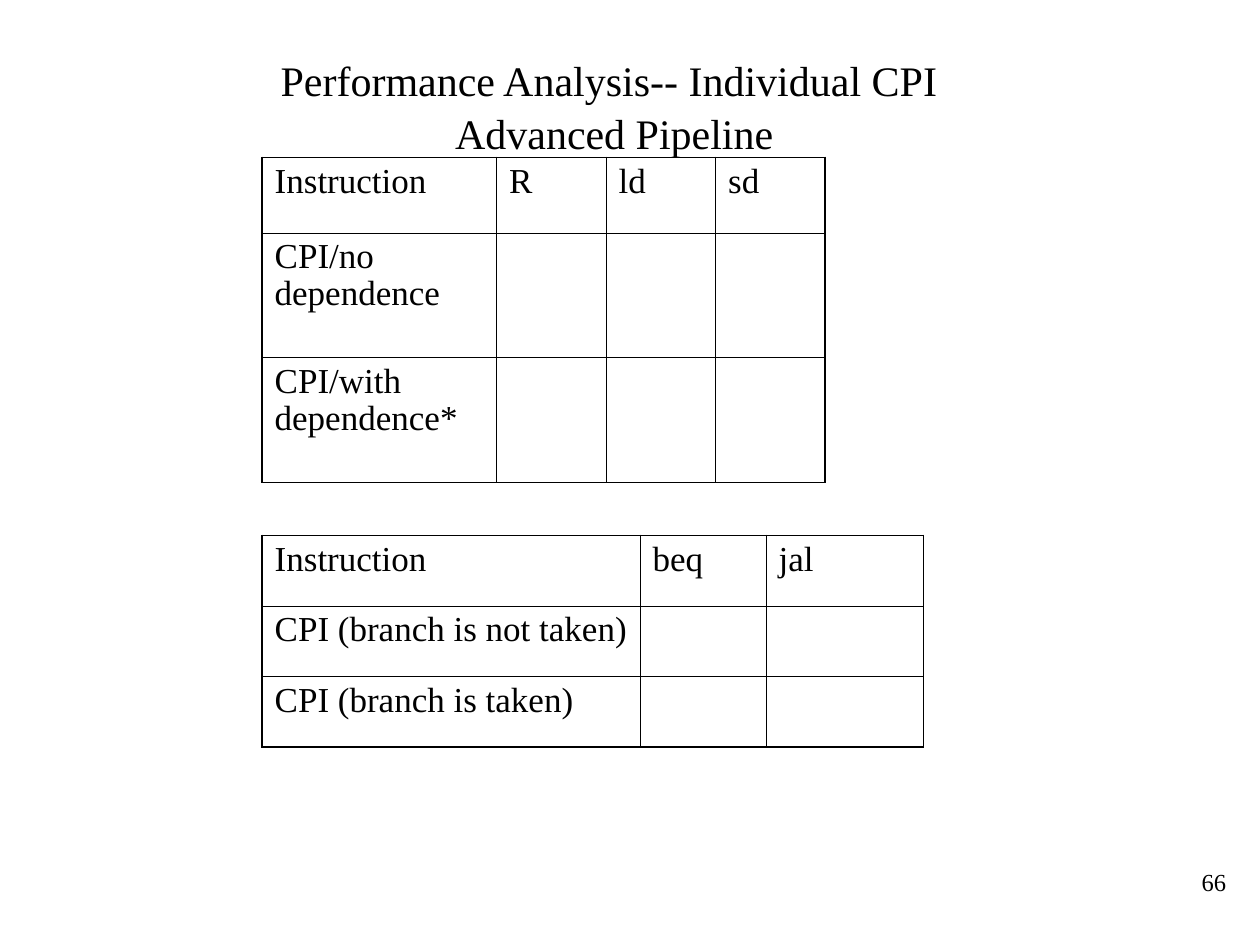
from lxml import etree
from pptx import Presentation
from pptx.dml.color import RGBColor
from pptx.enum.text import MSO_ANCHOR, PP_ALIGN
from pptx.oxml.ns import qn
from pptx.util import Inches, Pt

CENTER, RIGHT = PP_ALIGN.CENTER, PP_ALIGN.RIGHT
TOP, MIDDLE = MSO_ANCHOR.TOP, MSO_ANCHOR.MIDDLE
FONT = "Times New Roman"
BLACK = "000000"
INNER, OUTER = 0.45, 1.08  # border widths in points
TABLE_LEFT = 2.08


def color(hex_code):
    return RGBColor.from_string(hex_code)


def format_paragraph(p, size, align=None):
    p.alignment = align
    for r in p.runs:
        r.font.name = FONT
        r.font.size = Pt(size)
        r.font.color.rgb = color(BLACK)


def set_borders(cell, widths):
    """Draw the left, right, top and bottom borders of a cell."""
    tcPr = cell._tc.get_or_add_tcPr()
    for i, (side, width) in enumerate(zip("LRTB", widths)):
        ln = etree.Element(qn(f"a:ln{side}"), w=str(Pt(width)))
        fill = etree.SubElement(ln, qn("a:solidFill"))
        etree.SubElement(fill, qn("a:srgbClr"), val=BLACK)
        tcPr.insert(i, ln)


def add_title(s, text):
    title = s.shapes.title
    title.left, title.top = Inches(0.75), Inches(0.33)
    title.width, title.height = Inches(8.25), Inches(1)
    tf = title.text_frame
    tf.vertical_anchor = MIDDLE
    tf.text = text
    p = tf.paragraphs[0]
    p.line_spacing = 1.05
    format_paragraph(p, 24, CENTER)


def add_cpi_table(s, top, col_widths, row_heights, headers, labels):
    """Headers fill the first row, labels the first column; the rest is blank."""
    n_rows, n_cols = len(row_heights), len(col_widths)
    table = s.shapes.add_table(
        n_rows, n_cols, Inches(TABLE_LEFT), Inches(top),
        Inches(sum(col_widths)), Inches(sum(row_heights))).table
    table.first_row = table.horz_banding = False
    for column, width in zip(table.columns, col_widths):
        column.width = Inches(width)
    for row, height in zip(table.rows, row_heights):
        row.height = Inches(height)

    blanks = [""] * (n_cols - 1)
    rows = [headers] + [[label] + blanks for label in labels]
    for i, row in enumerate(rows):
        for j, text in enumerate(row):
            cell = table.cell(i, j)
            cell.fill.background()
            cell.vertical_anchor = TOP
            edges = (j == 0, j == n_cols - 1, i == 0, i == n_rows - 1)
            set_borders(cell, [OUTER if edge else INNER for edge in edges])
            if text:
                cell.text_frame.text = text
                p = cell.text_frame.paragraphs[0]
                p.space_before = Pt(5)
                p.line_spacing = 0.95
                format_paragraph(p, 20)


def add_page_number(s, number):
    box = s.shapes.add_textbox(Inches(7.5), Inches(6.83), Inches(2.33), Inches(0.52))
    tf = box.text_frame
    tf.word_wrap = True
    tf.text = number
    format_paragraph(tf.paragraphs[0], 14, RIGHT)


def main():
    prs = Presentation()
    prs.slide_width, prs.slide_height = Inches(10), Inches(7.5)
    s = prs.slides.add_slide(prs.slide_layouts[5])  # title only

    add_title(s, "Performance Analysis-- Individual CPI \vAdvanced Pipeline")
    # CPI of register and memory instructions
    add_cpi_table(s, 1.25, [1.86] + [0.87] * 3, [0.6, 0.99, 0.99],
                  ["Instruction", "R", "ld", "sd"],
                  ["CPI/no dependence", "CPI/with dependence*"])
    # CPI of branches and jumps
    add_cpi_table(s, 4.25, [3, 1, 1.25], [0.56] * 3,
                  ["Instruction", "beq", "jal"],
                  ["CPI (branch is not taken)", "CPI (branch is taken)"])
    add_page_number(s, "66")

    prs.save("out.pptx")


if __name__ == "__main__":
    main()
